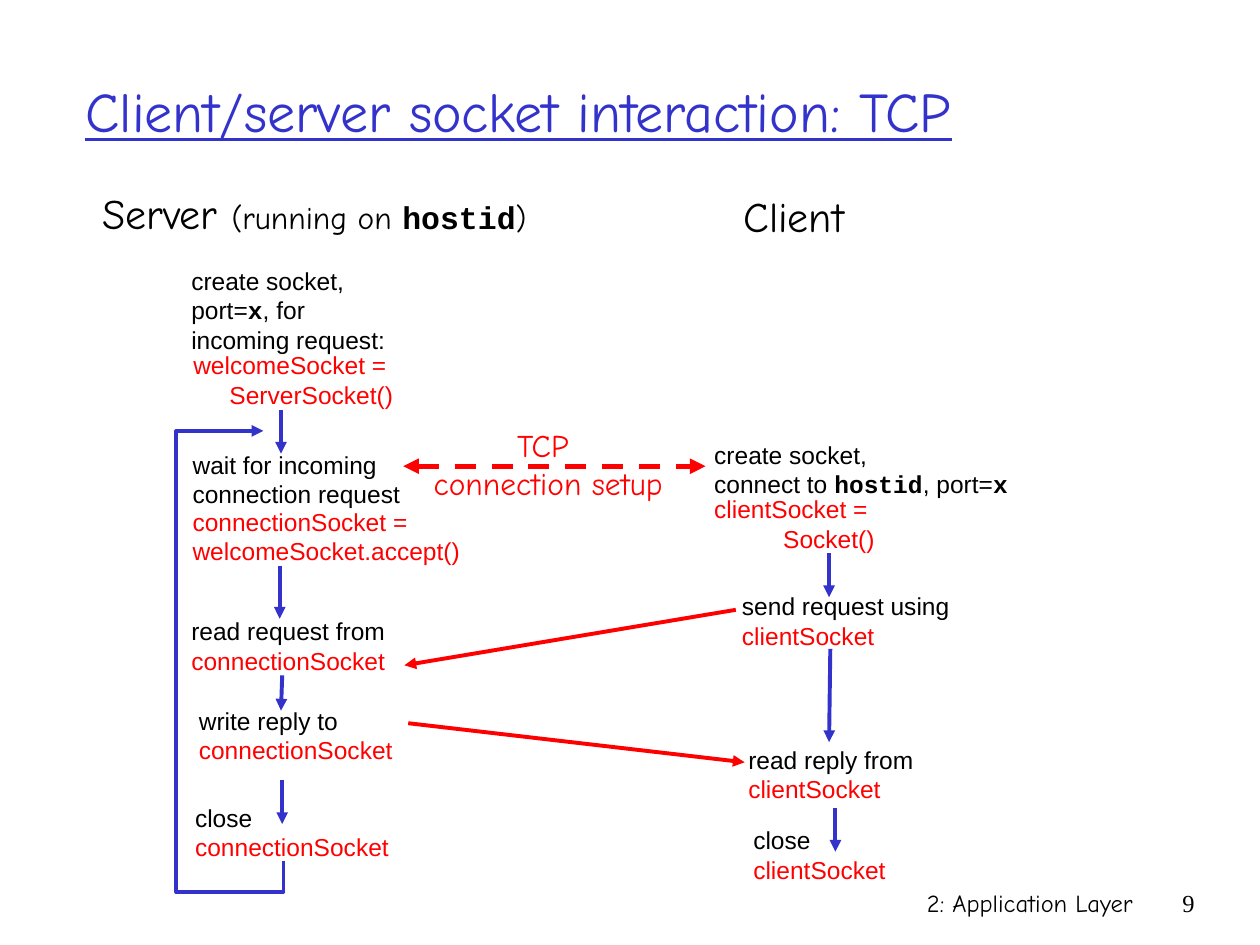
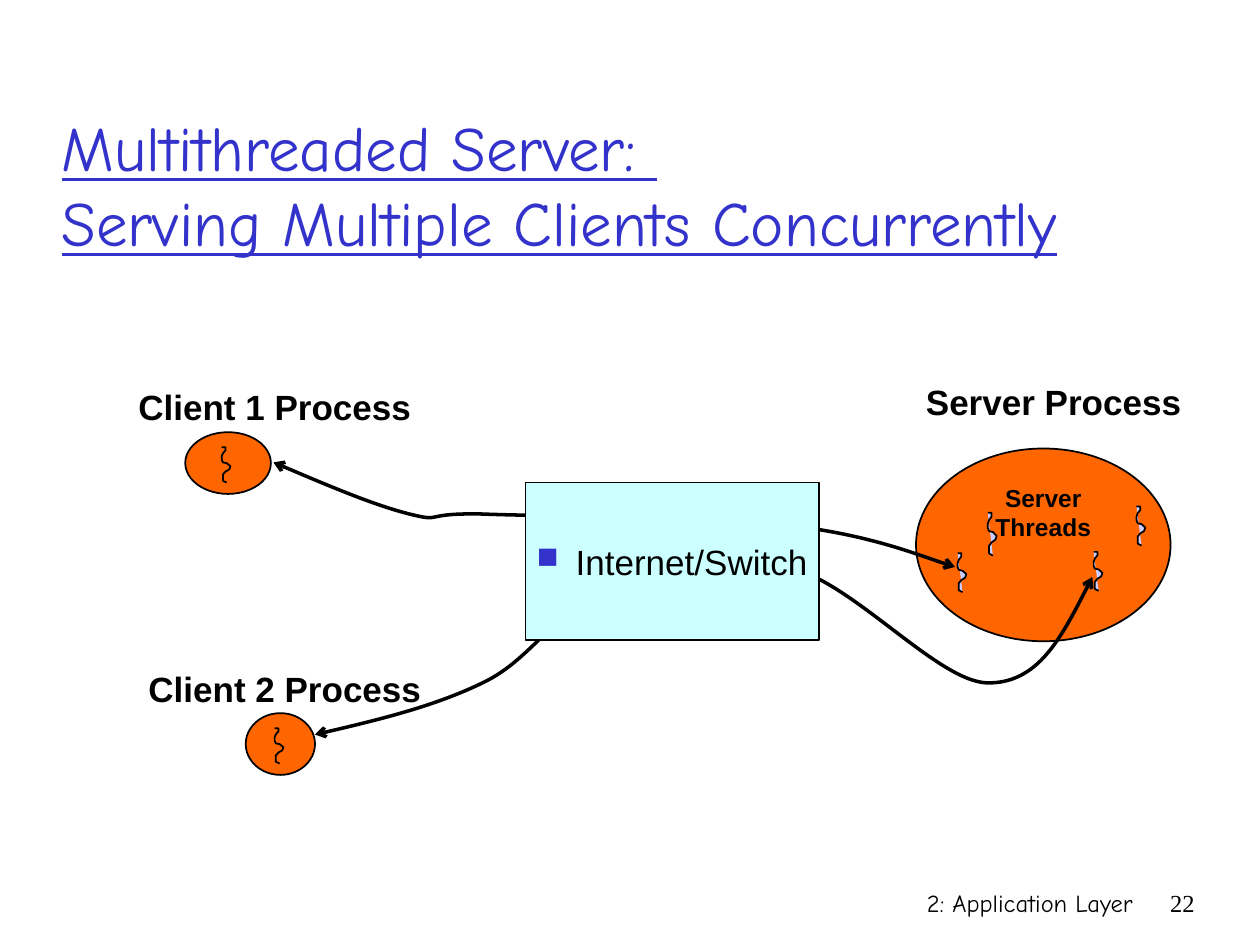
from collections import namedtuple

from pptx import Presentation
from pptx import util as u
from pptx.dml import color
from pptx.enum import dml, shapes, text
from pptx.oxml import ns, xmlchemy

Style = namedtuple("Style", "font size hex bold underline", defaults=(False, False))

BLACK, RED, BLUE = "000000", "FF0000", "3333CC"
ORANGE, LAVENDER, CYAN = "FF6600", "CCCCFF", "CCFFFF"
HAND = "Comic Neue"

BODY = Style("Arial", 14, BLACK)
CALL = BODY._replace(hex=RED)
CODE = Style("Courier New", 14, BLACK, True)
HEADING = Style(HAND, 24, BLACK)
LABEL = Style("Arial", 20, BLACK, True)

LEFT, CENTER, RIGHT = text.PP_ALIGN.LEFT, text.PP_ALIGN.CENTER, text.PP_ALIGN.RIGHT
TOP, MIDDLE = text.MSO_ANCHOR.TOP, text.MSO_ANCHOR.MIDDLE

SQUIGGLE = [(0, 0), (0.03, 0), (0.03, 0.09), (0.01, 0.17), (0, 0.26), (0, 0.35),
            (0.01, 0.43), (0.04, 0.45), (0.07, 0.54), (0.06, 0.63), (0.03, 0.69),
            (0.01, 0.77), (0.01, 0.86), (0.01, 0.95), (0.04, 1)]


def rgb(value):
    return color.RGBColor.from_string(value)


def inches(*values):
    return [u.Inches(value) for value in values]


def add_element(parent, tag, **attributes):
    element = xmlchemy.OxmlElement(tag)
    for name, value in attributes.items():
        element.set(name, value)
    parent.append(element)
    return element


class Deck:
    def __init__(self):
        self.presentation = Presentation()
        self.presentation.slide_width, self.presentation.slide_height = inches(10, 7.5)
        self.slide = None

    def new_slide(self, number):
        self.slide = self.presentation.slides.add_slide(self.presentation.slide_layouts[6])
        self.text_box((5.92, 7, 3.17, 0.5), [[("2: Application Layer", Style(HAND, 14, BLACK))]],
                      RIGHT, TOP, True)
        self.text_box((9.08, 7, 0.5, 0.5), [[(number, Style("Times New Roman", 14, BLACK))]],
                      RIGHT, TOP, True)

    def title(self, box, lines, size):
        style = Style(HAND, size, BLUE, underline=True)
        shape = self.text_box(box, [[(lines[0], style)]], wrap=True)
        paragraph = shape.text_frame.paragraphs[0]
        for line in lines[1:]:
            paragraph.add_line_break()
            self.add_run(paragraph, line, style)

    def add_run(self, paragraph, words, style):
        run = paragraph.add_run()
        run.text = words
        run.font.name = style.font
        run.font.size = u.Pt(style.size)
        run.font.bold = style.bold
        run.font.underline = style.underline
        run.font.color.rgb = rgb(style.hex)

    def fill_text(self, shape, paragraphs, align, anchor, wrap):
        frame = shape.text_frame
        frame.word_wrap = wrap
        frame.vertical_anchor = anchor
        for index, runs in enumerate(paragraphs):
            paragraph = frame.add_paragraph() if index else frame.paragraphs[0]
            paragraph.alignment = align
            for words, style in runs:
                self.add_run(paragraph, words, style)

    def text_box(self, box, paragraphs, align=LEFT, anchor=MIDDLE, wrap=False):
        shape = self.slide.shapes.add_textbox(*inches(*box))
        self.fill_text(shape, paragraphs, align, anchor, wrap)
        if not wrap:
            shape.text_frame.auto_size = text.MSO_AUTO_SIZE.SHAPE_TO_FIT_TEXT
        return shape

    def set_line(self, line, hex_color, width, head=None, tail=None, dashed=False):
        line.color.rgb = rgb(hex_color)
        line.width = u.Pt(width)
        if dashed:
            line.dash_style = dml.MSO_LINE.DASH
        for tag, kind in (("a:headEnd", head), ("a:tailEnd", tail)):
            if kind:
                add_element(line._get_or_add_ln(), tag, type=kind)

    def arrow(self, start, end, hex_color=BLUE, width=2.25, head=None, dashed=False):
        connector = self.slide.shapes.add_connector(
            shapes.MSO_CONNECTOR.STRAIGHT, *inches(*start, *end))
        self.set_line(connector.line, hex_color, width, head, "triangle", dashed)
        add_element(connector._element.spPr, "a:effectLst")

    def preset(self, kind, box, fill):
        shape = self.slide.shapes.add_shape(kind, *inches(*box))
        shape.shadow.inherit = False
        shape.fill.solid()
        shape.fill.fore_color.rgb = rgb(fill)
        self.set_line(shape.line, BLACK, 1)
        return shape

    def ellipse(self, box):
        return self.preset(shapes.MSO_SHAPE.OVAL, box, ORANGE)

    def outline(self, points, hex_color, width, fill=None, head=None, tail=None):
        points = [inches(*point) for point in points]
        builder = self.slide.shapes.build_freeform(*points[0])
        builder.add_line_segments(points[1:], close=False)
        shape = builder.convert_to_shape()
        shape.shadow.inherit = False
        if fill:
            shape.fill.solid()
            shape.fill.fore_color.rgb = rgb(fill)
        else:
            shape.fill.background()
        self.set_line(shape.line, hex_color, width, head, tail)
        return shape

    def curve(self, points):
        shape = self.outline(points, BLACK, 2, head="arrow", tail="arrow")
        segments = list(shape._element.iter(ns.qn("a:lnTo")))
        for first in range(0, len(segments), 3):
            bezier = xmlchemy.OxmlElement("a:cubicBezTo")
            segments[first].addprevious(bezier)
            for segment in segments[first:first + 3]:
                bezier.append(segment[0])
                segment.getparent().remove(segment)

    def thread(self, left, top, height, fill):
        self.outline([(left + x, top + y * height) for x, y in SQUIGGLE], BLACK, 1, fill)

    def bullet_box(self, box, words):
        shape = self.preset(shapes.MSO_SHAPE.RECTANGLE, box, CYAN)
        paragraph = shape.text_frame.paragraphs[0]
        properties = paragraph._p.get_or_add_pPr()
        properties.set("marL", str(u.Inches(0.31)))
        properties.set("indent", str(u.Inches(-0.31)))
        add_element(add_element(properties, "a:buClr"), "a:srgbClr", val=BLUE)
        add_element(properties, "a:buSzPct", val="85000")
        add_element(properties, "a:buChar", char="■")
        self.fill_text(shape, [[(words, LABEL._replace(bold=False))]], CENTER, MIDDLE, False)


def socket_slide(deck):
    deck.new_slide("9")
    deck.title((0.58, 0.25, 8.5, 1.25), ["Client/server socket interaction: TCP"], 32)

    running = HEADING._replace(size=18)
    deck.text_box((0.71, 1.44, 3.57, 0.5),
                  [[("Server ", HEADING), ("(running on ", running),
                    ("hostid", CODE._replace(size=18)), (")", running)]], CENTER)
    deck.text_box((5.8, 1.46, 1, 0.5), [[("Client", HEADING)]], CENTER)

    deck.text_box((1.42, 2.06, 1.74, 0.8),
                  [[("create socket,", BODY)],
                   [("port=", BODY), ("x", CODE), (", for", BODY)],
                   [("incoming request:", BODY)]])
    deck.text_box((5.57, 3.44, 2.53, 0.57),
                  [[("create socket,", BODY)],
                   [("connect to ", BODY), ("hostid", CODE), (", port=", BODY), ("x", CODE)]])

    two_line_steps = [
        (1.43, 3.52, 1.85, "wait for incoming", "connection request", BODY, BODY, LEFT),
        (1.43, 3.97, 2.36, "connectionSocket =", "welcomeSocket.accept()", CALL, CALL, LEFT),
        (1.43, 2.73, 1.79, "welcomeSocket = ", "ServerSocket()", CALL, CALL, RIGHT),
        (5.55, 3.87, 1.49, "clientSocket = ", "Socket()", CALL, CALL, RIGHT),
        (1.42, 4.84, 1.74, "read request from", "connectionSocket", BODY, CALL, LEFT),
        (1.48, 5.55, 1.74, "write reply to", "connectionSocket", BODY, CALL, LEFT),
        (1.45, 6.32, 1.74, "close", "connectionSocket", BODY, CALL, LEFT),
        (5.79, 4.64, 1.85, "send request using", "clientSocket", BODY, CALL, LEFT),
        (5.84, 5.86, 1.51, "read reply from", "clientSocket", BODY, CALL, LEFT),
        (5.88, 6.5, 1.25, "close", "clientSocket", BODY, CALL, LEFT),
    ]
    for left, top, width, first, second, first_style, second_style, align in two_line_steps:
        deck.text_box((left, top, width, 0.57),
                      [[(first, first_style)], [(second, second_style)]], align)

    flow_arrows = [
        ((2.23, 3.25), (2.23, 3.6)), ((2.22, 4.49), (2.22, 4.91)),
        ((2.24, 5.36), (2.23, 5.64)), ((2.24, 6.19), (2.24, 6.54)),
        ((6.58, 4.39), (6.58, 4.74)), ((6.59, 5.15), (6.58, 5.89)),
        ((6.63, 6.41), (6.63, 6.76)),
    ]
    for start, end in flow_arrows:
        deck.arrow(start, end)
    deck.outline([(2.25, 6.83), (2.25, 7.08), (1.4, 7.08), (1.4, 3.42), (2.09, 3.42)],
                 BLUE, 2.25, tail="triangle")

    deck.arrow((5.84, 4.84), (3.21, 5.28), RED)
    deck.arrow((3.24, 5.74), (5.91, 6.05), RED)
    deck.arrow((3.2, 3.7), (5.6, 3.7), RED, 3, "triangle", True)
    setup = Style(HAND, 18, RED)
    deck.text_box((3.34, 3.33, 2.02, 0.7),
                  [[("TCP ", setup)], [("connection setup", setup)]], CENTER)


def threads_slide(deck):
    deck.new_slide("22")
    server = deck.ellipse((7.27, 3.56, 2.02, 1.53))
    bold = BODY._replace(bold=True)
    deck.fill_text(server, [[("Server", bold)], [("Threads", bold)]], CENTER, TOP, False)
    for left, top, height in [(7.6, 4.39, 0.31), (7.84, 4.07, 0.34),
                              (8.68, 4.38, 0.31), (9.02, 4.02, 0.31)]:
        deck.thread(left, top, height, LAVENDER)

    for left, top, width, thread_left in [(1.47, 3.43, 0.68, 1.76), (1.95, 5.66, 0.55, 2.18)]:
        deck.ellipse((left, top, width, 0.49))
        deck.thread(thread_left, top + 0.12, 0.28, ORANGE)

    for left, top, width, words in [(7.25, 2.97, 2.58, "Server Process"),
                                    (1, 3.01, 2.5, "Client 1 Process"),
                                    (1.08, 5.25, 2.37, "Client 2 Process")]:
        deck.text_box((left, top, width, 0.43), [[(words, LABEL)]], LEFT, TOP, True)

    deck.title((0.39, 0.92, 9.61, 1.08),
               ["Multithreaded Server: ", "Serving Multiple Clients Concurrently"], 36)

    deck.curve([(2.17, 3.67), (2.57, 3.84), (2.97, 4.01), (3.25, 4.08),
                (3.53, 4.15), (3.33, 4.07), (3.83, 4.08),
                (4.33, 4.1), (5.63, 4.1), (6.25, 4.17),
                (6.88, 4.24), (7.38, 4.44), (7.58, 4.5)])
    deck.curve([(2.5, 5.83), (2.98, 5.72), (3.46, 5.6), (3.83, 5.42),
                (4.21, 5.24), (4.35, 4.9), (4.75, 4.75),
                (5.15, 4.6), (5.74, 4.39), (6.25, 4.5),
                (6.76, 4.61), (7.43, 5.4), (7.83, 5.42),
                (8.24, 5.43), (8.45, 5.01), (8.67, 4.58)])
    deck.bullet_box((4.17, 3.83, 2.33, 1.25), "Internet/Switch")


def main():
    deck = Deck()
    socket_slide(deck)
    threads_slide(deck)
    deck.presentation.save("out.pptx")


if __name__ == "__main__":
    main()
